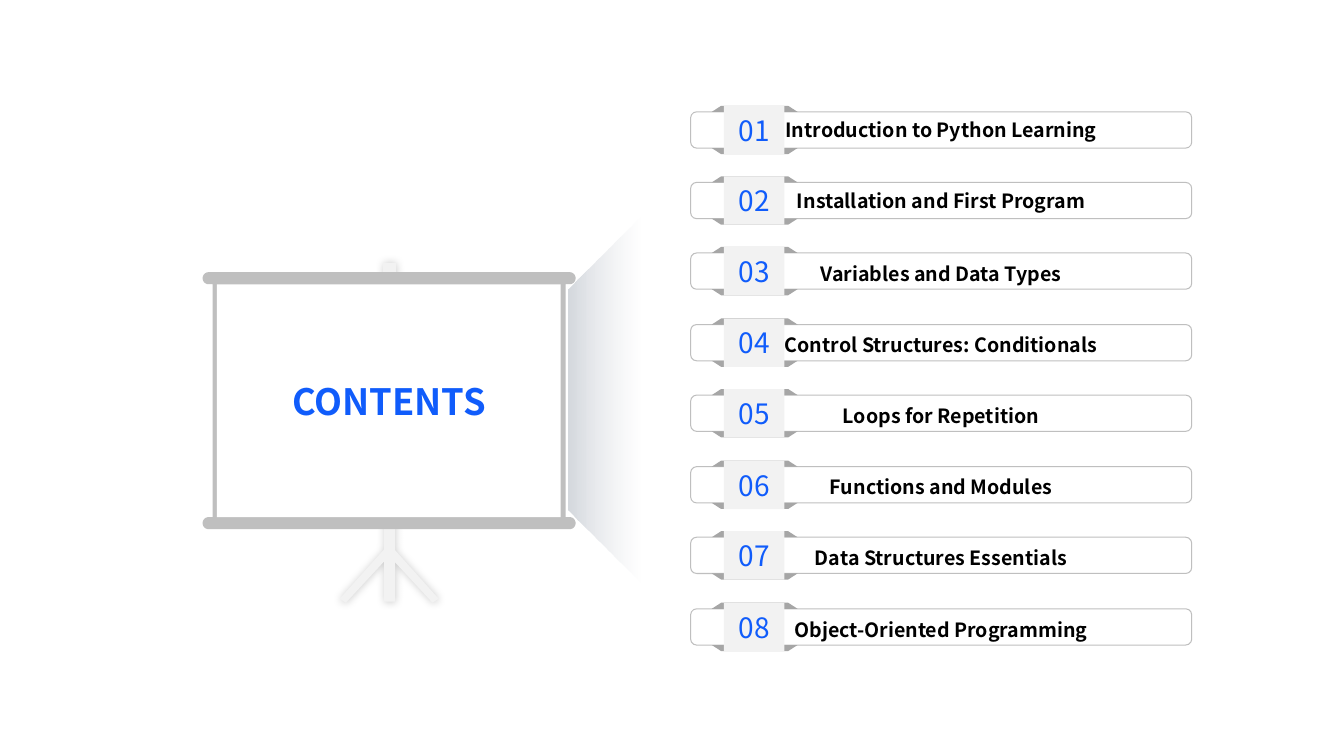
from dataclasses import dataclass
from math import cos, radians, sin

from lxml.etree import SubElement
from pptx import Presentation
from pptx.dml.color import RGBColor as RGB
from pptx.enum.shapes import MSO_SHAPE as SHAPE
from pptx.enum.text import MSO_ANCHOR as ANCHOR, MSO_AUTO_SIZE as FIT, PP_ALIGN as ALIGN
from pptx.oxml.ns import qn
from pptx.util import Pt

PX = 9144  # 100 px to the inch


@dataclass(frozen=True)
class Theme:
    font: str = "Noto Sans CJK SC"
    blue: str = "105CFB"
    ink: str = "000000"
    white: str = "FFFFFF"
    pale: str = "F2F2F2"
    grey: str = "BFBFBF"
    fold: str = "A6A6A6"
    beam: str = "D5D9DE"
    fade: str = "E5E7EB"
    title: float = 25.9
    number: float = 20
    item: float = 14
    rule: float = 0.75


@dataclass(frozen=True)
class Box:
    x: int
    y: int
    w: int
    h: int

    def emu(self) -> list[int]:
        return [n * PX for n in (self.x, self.y, self.w, self.h)]


@dataclass(frozen=True)
class Item:
    text: str
    space: float = 1.2


THEME = Theme()
ITEMS = [
    Item("Introduction to Python Learning", 1.0),
    Item("Installation and First Program", 1.0),
    Item("Variables and Data Types"),
    Item("Control Structures: Conditionals"),
    Item("Loops for Repetition"),
    Item("Functions and Modules"),
    Item("Data Structures Essentials"),
    Item("Object-Oriented Programming"),
]
FIRST, SPAN = 111, 493  # top of the first row, distance to the last

Points = list[tuple[float, float]]
POLE: Points = [(380, 261), (393, 261), (393, 279), (380, 279)]
LEGS: Points = [
    (381, 496), (392, 496), (392, 546), (435, 594), (429, 598), (392, 558),
    (392, 597), (381, 597), (381, 557), (343, 598), (337, 594), (381, 545),
]


def paint(shape, fill: str | None, line: str | None = None) -> None:
    shape.shadow.inherit = False
    if fill:
        shape.fill.solid()
        shape.fill.fore_color.rgb = RGB.from_string(fill)
    else:
        shape.fill.background()
    if line:
        shape.line.color.rgb = RGB.from_string(line)
        shape.line.width = Pt(THEME.rule)
    else:
        shape.line.fill.background()


def add(shapes, kind: SHAPE, box: Box, fill: str | None, line: str | None = None):
    shape = shapes.add_shape(kind, *box.emu())
    paint(shape, fill, line)
    return shape


def write(shape, text: str, size: float, color: str, bold: bool = False, space: float = 1.0) -> None:
    frame = shape.text_frame
    frame.text = text
    frame.word_wrap = True
    frame.auto_size = FIT.NONE
    frame.vertical_anchor = ANCHOR.MIDDLE
    para = frame.paragraphs[0]
    para.alignment = ALIGN.CENTER
    para.line_spacing = space
    font = para.runs[0].font
    font.name, font.size, font.bold = THEME.font, Pt(size), bold
    font.color.rgb = RGB.from_string(color)


def outline(shapes, paths: list[Points], fill: str):
    """Draw closed paths as a single filled shape."""
    paths = [[(x * PX, y * PX) for x, y in path] for path in paths]
    pen = shapes.build_freeform(*paths[0][0])
    pen.add_line_segments(paths[0][1:])
    for path in paths[1:]:
        pen.move_to(*path[0])
        pen.add_line_segments(path[1:])
    shape = pen.convert_to_shape()
    paint(shape, fill)
    return shape


def cap(x: int, y: int, start: int) -> Points:
    """Half circle at the end of a bar, clockwise from the start angle."""
    turns = [radians(start + step) for step in range(0, 181, 15)]
    return [(x + 6 * cos(t), y + 6 * sin(t)) for t in turns]


def glow(shape) -> None:
    """Give the shape a soft dark edge."""
    effects = shape._element.spPr.find(qn("a:effectLst"))
    shade = SubElement(effects, qn("a:outerShdw"), blurRad=str(Pt(6)), dist="0",
                       dir="13500000", algn="ctr", rotWithShape="0")
    color = SubElement(shade, qn("a:srgbClr"), val=THEME.ink)
    SubElement(color, qn("a:alpha"), val="20000")


def draw_screen(slide) -> None:
    shapes = slide.shapes
    glow(outline(shapes, [POLE, LEGS], THEME.pale))
    frame = (cap(565, 276, -90) + [(561, 282), (561, 513)] + cap(565, 519, -90)
             + cap(207, 519, 90) + [(211, 513), (211, 282)] + cap(207, 276, 90))
    outline(shapes, [frame], THEME.grey)
    add(shapes, SHAPE.RECTANGLE, Box(215, 282, 341, 231), THEME.white)

    beam = add(shapes, SHAPE.TRAPEZOID, Box(418, 361, 363, 71), None)
    beam.rotation = 270
    beam.adjustments[0] = 1.013
    beam.fill.gradient()
    beam.fill.gradient_angle = 270
    for stop, color in zip(beam.fill.gradient_stops, (THEME.beam, THEME.fade)):
        stop.color.rgb = RGB.from_string(color)
    last = list(beam._element.spPr.iter(qn("a:srgbClr")))[-1]
    SubElement(last, qn("a:alpha"), val="0")

    title = shapes.title
    title.left, title.top, title.width, title.height = Box(268, 369, 236, 57).emu()
    write(title, "CONTENTS", THEME.title, THEME.blue, bold=True)
    shapes._spTree.append(title._element)


def draw_row(slide, index: int, item: Item) -> None:
    top = FIRST + SPAN * index // (len(ITEMS) - 1)
    shapes = slide.shapes.add_group_shape().shapes
    bar = add(shapes, SHAPE.ROUNDED_RECTANGLE, Box(685, top, 497, 36), None, THEME.grey)
    write(bar, item.text, THEME.item, THEME.ink, bold=True, space=item.space)
    for y, flip in ((top + 36, "1"), (top - 6, "0")):
        fold = add(shapes, SHAPE.TRAPEZOID, Box(706, y, 85, 6), THEME.fold)
        fold.adjustments[0] = 1.546
        fold._element.spPr.xfrm.set("flipV", flip)
    tag = add(shapes, SHAPE.RECTANGLE, Box(718, top - 6, 60, 48), THEME.pale)
    write(tag, f"{index + 1:02}", THEME.number, THEME.blue)


def main() -> None:
    deck = Presentation()
    deck.slide_width, deck.slide_height = 1333 * PX, 750 * PX
    slide = deck.slides.add_slide(deck.slide_layouts[5])
    draw_screen(slide)
    for index, item in enumerate(ITEMS):
        draw_row(slide, index, item)
    deck.save("out.pptx")


if __name__ == "__main__":
    main()
